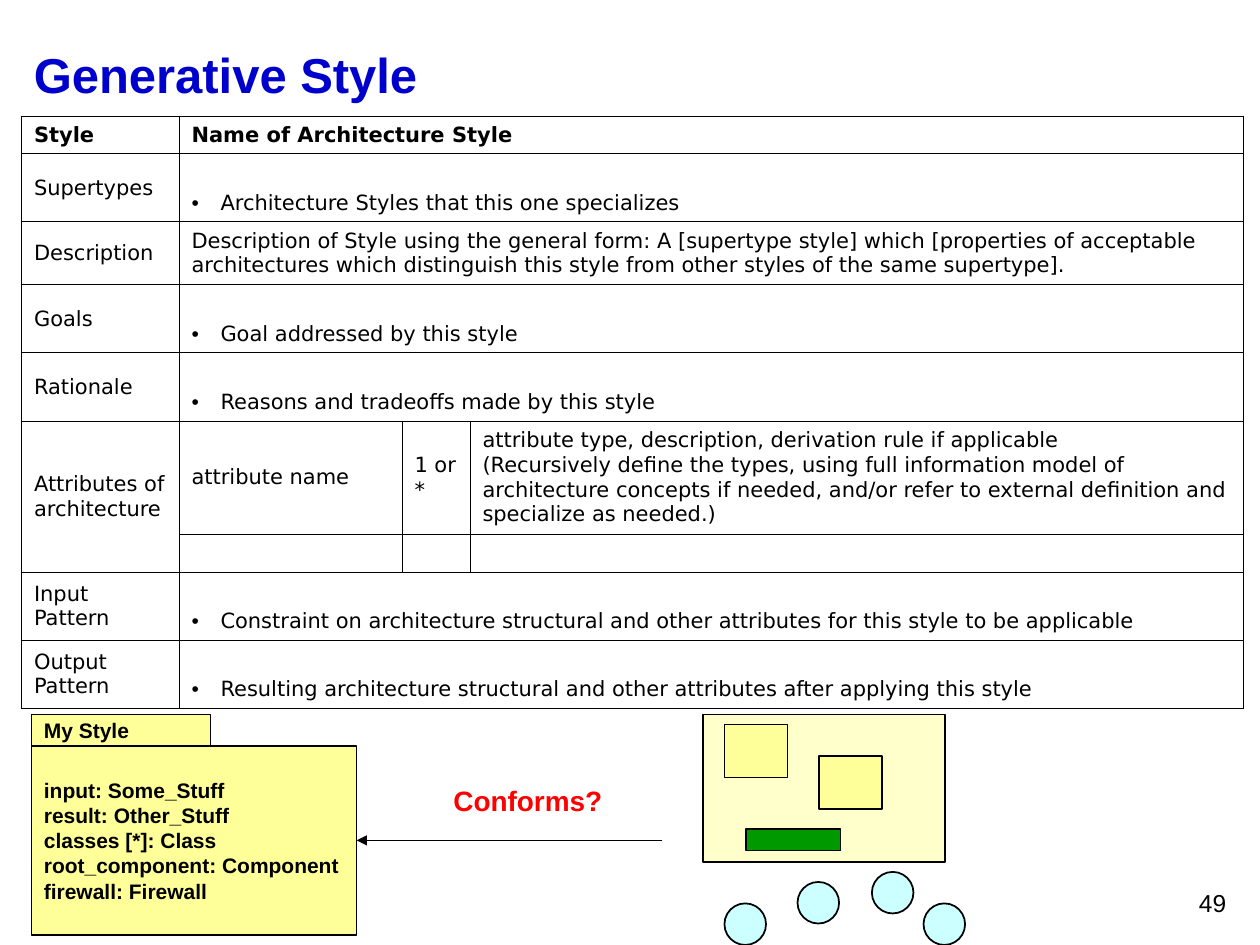
"""Build the Generative Style slide: a style template table above a conformance sketch."""
from dataclasses import dataclass

from lxml import etree
from pptx import Presentation
from pptx.dml.color import RGBColor
from pptx.enum.shapes import MSO_CONNECTOR, MSO_SHAPE
from pptx.enum.text import MSO_ANCHOR, PP_ALIGN
from pptx.oxml.ns import qn
from pptx.util import Inches, Pt

RECT, OVAL = MSO_SHAPE.RECTANGLE, MSO_SHAPE.OVAL
STRAIGHT = MSO_CONNECTOR.STRAIGHT
TOP, MIDDLE, BOTTOM = MSO_ANCHOR.TOP, MSO_ANCHOR.MIDDLE, MSO_ANCHOR.BOTTOM
LEFT, CENTER, RIGHT = PP_ALIGN.LEFT, PP_ALIGN.CENTER, PP_ALIGN.RIGHT
RIGHT_SIDE = 3


@dataclass(frozen=True)
class Theme:
    """Fonts, type sizes in points and colours of the slide."""
    font: str = "Arial"
    table_font: str = "DejaVu Sans"
    title_size: float = 28
    label_size: float = 16
    number_size: float = 14
    body_size: float = 12
    rule: float = 0.45
    outline: float = 1
    black: str = "000000"
    blue: str = "0000CC"
    red: str = "FF0000"
    yellow: str = "FFFF99"
    cream: str = "FFFFCC"
    green: str = "009900"
    cyan: str = "CCFFFF"


class SlideBuilder:
    """Adds styled elements to one slide."""

    def __init__(self, s, theme):
        self.s = s
        self.theme = theme

    def set_text(self, tf, text, size, color, bold=False, align=LEFT, font=None):
        tf.text = text
        for p in tf.paragraphs:
            p.alignment = align
            for r in p.runs:
                r.font.name = font or self.theme.font
                r.font.size = Pt(size)
                r.font.bold = bold
                r.font.color.rgb = RGBColor.from_string(color)

    def text(self, box, text, size, color, bold=False, align=LEFT, anchor=TOP, wrap=True):
        tf = self.s.shapes.add_textbox(*map(Inches, box)).text_frame
        tf.word_wrap = wrap
        tf.vertical_anchor = anchor
        self.set_text(tf, text, size, color, bold, align)

    def shape(self, kind, box, fill, text=""):
        sp = self.s.shapes.add_shape(kind, *map(Inches, box))
        sp.shadow.inherit = False
        sp.fill.solid()
        sp.fill.fore_color.rgb = RGBColor.from_string(fill)
        sp.line.color.rgb = RGBColor.from_string(self.theme.black)
        sp.line.width = Pt(self.theme.outline)
        if text:
            sp.text_frame.vertical_anchor = MIDDLE
            self.set_text(sp.text_frame, text, self.theme.body_size, self.theme.black, True)
        return sp

    def arrow(self, start, target, side):
        connector = self.s.shapes.add_connector(STRAIGHT, *map(Inches, start + start))
        connector.end_connect(target, side)
        connector.line.color.rgb = RGBColor.from_string(self.theme.black)
        connector.line.width = Pt(self.theme.outline)
        sp_pr = connector._element.spPr
        etree.SubElement(sp_pr.find(qn("a:ln")), qn("a:tailEnd"), type="triangle")
        etree.SubElement(sp_pr, qn("a:effectLst"))

    def borders(self, cell):
        tc_pr = cell._tc.get_or_add_tcPr()
        for side in ("lnL", "lnR", "lnT", "lnB"):
            ln = etree.SubElement(tc_pr, qn(f"a:{side}"), w=str(Pt(self.theme.rule)))
            fill = etree.SubElement(ln, qn("a:solidFill"))
            etree.SubElement(fill, qn("a:srgbClr"), val=self.theme.black)
        cell.fill.background()

    def bullet(self, cell):
        cell.vertical_anchor = BOTTOM
        p_pr = cell.text_frame.paragraphs[0]._p.get_or_add_pPr()
        indent = Inches(0.23)
        p_pr.set("marL", str(indent))
        p_pr.set("indent", str(-indent))
        etree.SubElement(p_pr, qn("a:buFont"), typeface=self.theme.font)
        etree.SubElement(p_pr, qn("a:buChar"), char="•")

    def table(self, left, top, widths, heights, rows, bulleted):
        box = map(Inches, (left, top, sum(widths), sum(heights)))
        table = self.s.shapes.add_table(len(heights), len(widths), *box).table
        table.first_row = table.horz_banding = False
        for column, width in zip(table.columns, widths):
            column.width = Inches(width)
        for row, height in zip(table.rows, heights):
            row.height = Inches(height)
        for i, texts in enumerate(rows):
            for j in range(len(widths)):
                cell = table.cell(i, j)
                self.borders(cell)
                cell.vertical_anchor = MIDDLE
                text = texts[j] if j < len(texts) else ""
                if text:
                    self.set_text(cell.text_frame, text, self.theme.body_size,
                                  self.theme.black, i == 0, font=self.theme.table_font)
                else:
                    end = cell.text_frame.paragraphs[0]._p.get_or_add_endParaRPr()
                    end.set("sz", str(int(self.theme.body_size * 100)))
            if len(texts) == 2:
                table.cell(i, 1).merge(table.cell(i, len(widths) - 1))
            if texts[0] in bulleted:
                self.bullet(table.cell(i, 1))
        return table


ROWS = [
    ("Style", "Name of Architecture Style"),
    ("Supertypes", "Architecture Styles that this one specializes"),
    ("Description", "Description of Style using the general form: A [supertype style] which "
     "[properties of acceptable architectures which distinguish this style from other styles "
     "of the same supertype]."),
    ("Goals", "Goal addressed by this style"),
    ("Rationale", "Reasons and tradeoffs made by this style"),
    ("Attributes of architecture", "attribute name", "1 or *",
     "attribute type, description, derivation rule if applicable\n"
     "(Recursively define the types, using full information model of architecture concepts "
     "if needed, and/or refer to external definition and specialize as needed.)"),
    ("", "", "", ""),
    ("Input Pattern", "Constraint on architecture structural and other attributes "
     "for this style to be applicable"),
    ("Output Pattern", "Resulting architecture structural and other attributes "
     "after applying this style"),
]
BULLETED = {"Supertypes", "Goals", "Rationale", "Input Pattern", "Output Pattern"}
WIDTHS = [1.25, 1.77, 0.54, 6.14]
HEIGHTS = [0.3, 0.54, 0.5, 0.54, 0.54, 0.9, 0.3, 0.54, 0.54]
STYLE_FIELDS = ("input: Some_Stuff\nresult: Other_Stuff\nclasses [*]: Class\n"
                "root_component: Component\nfirewall: Firewall")


def main():
    prs = Presentation()
    prs.slide_width, prs.slide_height = Inches(10), Inches(7.5)
    theme = Theme()
    b = SlideBuilder(prs.slides.add_slide(prs.slide_layouts[6]), theme)

    b.text((0.17, 0.17, 9.67, 0.83), "Generative Style", theme.title_size, theme.blue,
           bold=True, anchor=MIDDLE)
    table = b.table(0.17, 0.92, WIDTHS, HEIGHTS, ROWS, BULLETED)
    table.cell(5, 0).merge(table.cell(6, 0))

    b.shape(RECT, (5.58, 5.67, 1.92, 1.17), theme.cream)
    style = b.shape(RECT, (0.25, 5.92, 2.58, 1.5), theme.yellow, STYLE_FIELDS)
    b.shape(RECT, (0.25, 5.67, 1.42, 0.25), theme.yellow, "My Style")
    for left, top in ((5.75, 5.75), (6.5, 6)):
        b.shape(RECT, (left, top, 0.5, 0.42), theme.yellow)
    b.shape(RECT, (5.92, 6.58, 0.75, 0.17), theme.green)

    b.arrow((5.25, 6.67), style, RIGHT_SIDE)
    b.text((3.5, 6.17, 1.38, 0.37), "Conforms?", theme.label_size, theme.red,
           bold=True, align=CENTER, wrap=False)
    for left, top in ((5.75, 7.17), (6.33, 7), (6.92, 6.92), (7.33, 7.17)):
        b.shape(OVAL, (left, top, 0.33, 0.33), theme.cyan)
    b.text((7.75, 7, 2.08, 0.33), "49", theme.number_size, theme.black, align=RIGHT)

    prs.save("out.pptx")


if __name__ == "__main__":
    main()
